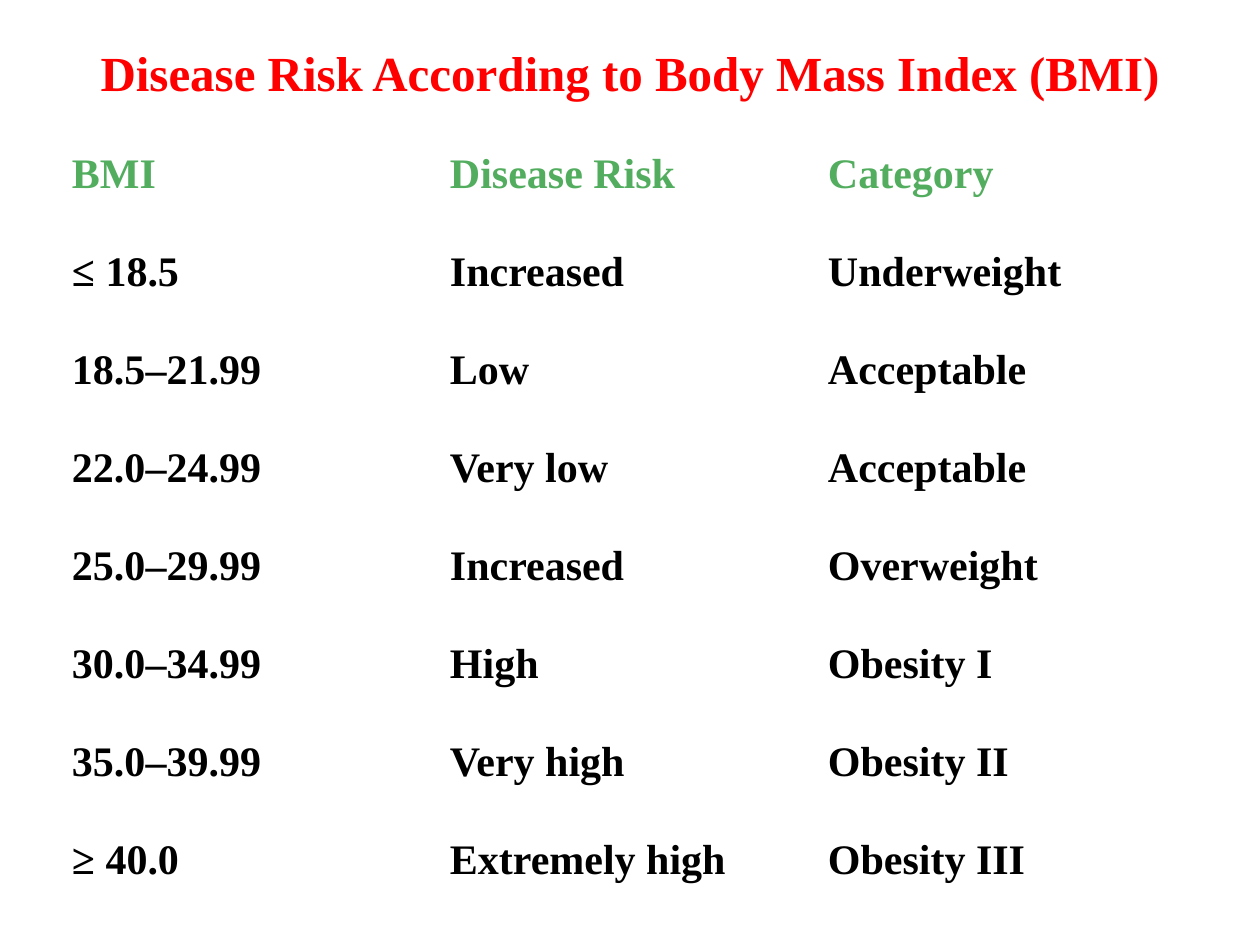
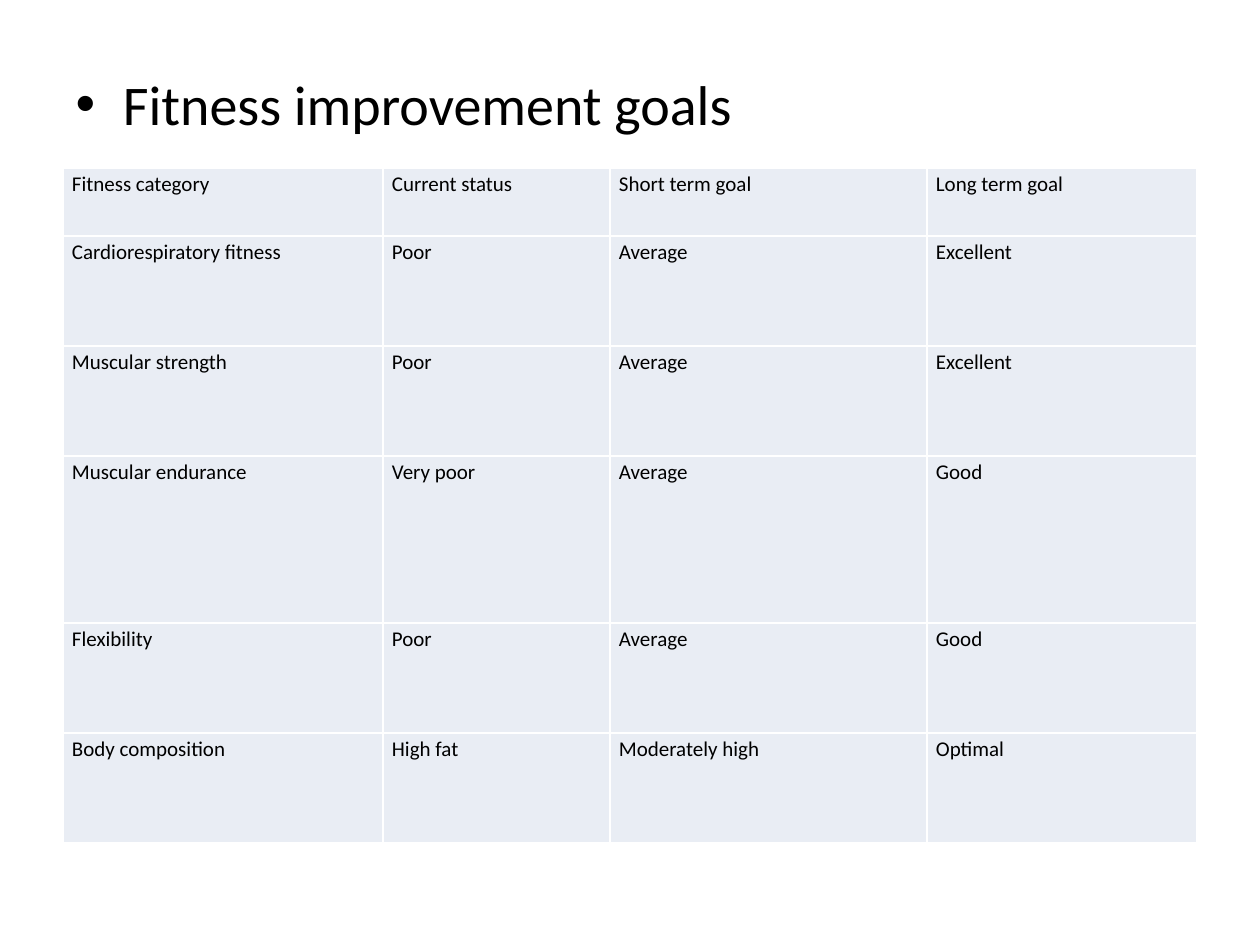
from dataclasses import dataclass

from lxml import etree
from pptx import Presentation
from pptx.dml.color import RGBColor
from pptx.enum.text import MSO_ANCHOR, MSO_AUTO_SIZE, PP_ALIGN
from pptx.oxml.ns import qn
from pptx.util import Pt

CENTER, JUSTIFY, LEFT = PP_ALIGN.CENTER, PP_ALIGN.JUSTIFY, PP_ALIGN.LEFT
TOP, MIDDLE = MSO_ANCHOR.TOP, MSO_ANCHOR.MIDDLE
NO_FIT = MSO_AUTO_SIZE.NONE
EMU_PER_PX = 914400 / 126
SLIDE_WIDTH, SLIDE_HEIGHT = 1260, 945
MARGIN = 63
CONTENT_WIDTH = SLIDE_WIDTH - 2 * MARGIN
TITLE_ONLY, TITLE_AND_BODY = 5, 1


@dataclass(frozen=True)
class Theme:
    """Colours, fonts and type sizes shared by the slides."""
    red: str = "FF0000"
    green: str = "53AD5F"
    black: str = "000000"
    white: str = "FFFFFF"
    cell: str = "E9EDF4"
    serif: str = "Times New Roman"
    sans: str = "Calibri"
    title: int = 28
    heading: int = 32
    risk: int = 24
    goal: int = 12


THEME = Theme()
TITLE_FONT = {"name": THEME.serif, "size": Pt(THEME.title), "bold": True}
HEADING_FONT = {"name": THEME.sans, "size": Pt(THEME.heading), "bold": False}
RISK_FONT = {"name": THEME.serif, "size": Pt(THEME.risk), "bold": True}
GOAL_FONT = {"name": THEME.sans, "size": Pt(THEME.goal), "bold": False}
RISK_PARA = {"alignment": JUSTIFY, "line_spacing": 2.0}
GOAL_PARA = {"alignment": LEFT, "line_spacing": 1.15}

RISK_ROWS = [
    ("BMI", "Disease Risk", "Category"),
    ("≤ 18.5", "Increased", "Underweight"),
    ("18.5–21.99", "Low", "Acceptable"),
    ("22.0–24.99", "Very low", "Acceptable"),
    ("25.0–29.99", "Increased", "Overweight"),
    ("30.0–34.99", "High", "Obesity I"),
    ("35.0–39.99", "Very high", "Obesity II"),
    ("≥ 40.0", "Extremely high", "Obesity III"),
]
GOAL_ROWS = [
    ("Fitness category", "Current status", "Short term goal", "Long term goal"),
    ("Cardiorespiratory fitness", "Poor", "Average", "Excellent"),
    ("Muscular strength", "Poor", "Average", "Excellent"),
    ("Muscular endurance", "Very poor", "Average", "Good"),
    ("Flexibility", "Poor", "Average", "Good"),
    ("Body composition", "High fat", "Moderately high", "Optimal"),
]


def px(length):
    """Turn pixels into EMU."""
    return round(length * EMU_PER_PX)


def apply(target, values):
    """Set every attribute named in a dict."""
    for name, value in values.items():
        setattr(target, name, value)


def write(para, text, font, color):
    """Add one formatted span of text to a paragraph."""
    span = para.add_run()
    span.text = text
    apply(span.font, font)
    span.font.color.rgb = RGBColor.from_string(color)


def fill_placeholder(box, place, text, font, color, align, anchor):
    """Move a placeholder and write its single paragraph."""
    apply(box, dict(zip(("left", "top", "width", "height"), map(px, place))))
    frame = box.text_frame
    apply(frame, {"word_wrap": True, "auto_size": NO_FIT,
                  "vertical_anchor": anchor})
    para = frame.paragraphs[0]
    para.alignment = align
    write(para, text, font, color)


def add_borders(cell, color):
    """Draw a one point line on each side of a cell."""
    properties = cell._tc.get_or_add_tcPr()
    for side in ("lnL", "lnR", "lnT", "lnB"):
        line = etree.SubElement(properties, qn(f"a:{side}"), w=str(Pt(1)))
        solid = etree.SubElement(line, qn("a:solidFill"))
        etree.SubElement(solid, qn("a:srgbClr"), val=color)


def fill_cell(cell, text, font, color, para_format, fill):
    """Format one table cell and write its text."""
    apply(cell, {"margin_left": px(9), "margin_right": px(9),
                 "margin_top": 0, "margin_bottom": 0, "vertical_anchor": TOP})
    if fill:
        add_borders(cell, THEME.white)
        cell.fill.solid()
        cell.fill.fore_color.rgb = RGBColor.from_string(fill)
    else:
        cell.fill.background()
    para = cell.text_frame.paragraphs[0]
    apply(para, para_format)
    write(para, text, font, color)


def add_grid(slide, top, widths, heights, rows, font, para_format,
             header_color=THEME.black, fill=None):
    """Add a table whose header row may have its own text colour."""
    table = slide.shapes.add_table(
        len(rows), len(widths), px(MARGIN), px(top),
        px(sum(widths)), px(sum(heights))).table
    apply(table, {"first_row": False, "horz_banding": False})
    for column, width in zip(table.columns, widths):
        column.width = px(width)
    for row, height in zip(table.rows, heights):
        row.height = px(height)
    for row_index, texts in enumerate(rows):
        color = THEME.black if row_index else header_color
        for column_index, text in enumerate(texts):
            fill_cell(table.cell(row_index, column_index), text, font, color,
                      para_format, fill)


def build_risk_slide(deck):
    """Build the table of disease risk by body mass index."""
    slide = deck.slides.add_slide(deck.slide_layouts[TITLE_ONLY])
    fill_placeholder(slide.shapes.title, (MARGIN, 38, CONTENT_WIDTH, 67),
                     "Disease Risk According to Body Mass Index (BMI)",
                     TITLE_FONT, THEME.red, CENTER, MIDDLE)
    add_grid(slide, 105, [CONTENT_WIDTH // 3] * 3, [98] * len(RISK_ROWS),
             RISK_ROWS, RISK_FONT, RISK_PARA, header_color=THEME.green)


def build_goal_slide(deck):
    """Build the table of fitness improvement goals."""
    slide = deck.slides.add_slide(deck.slide_layouts[TITLE_AND_BODY])
    title = slide.shapes.title.element
    title.getparent().remove(title)
    fill_placeholder(slide.placeholders[1], (MARGIN, 63, CONTENT_WIDTH, 781),
                     "Fitness improvement goals",
                     HEADING_FONT, THEME.black, LEFT, TOP)
    add_grid(slide, 168, [320, 227, 317, 270], [68, 110, 110, 167, 110, 110],
             GOAL_ROWS, GOAL_FONT, GOAL_PARA, fill=THEME.cell)


def main():
    """Build and save the deck."""
    deck = Presentation()
    apply(deck, {"slide_width": px(SLIDE_WIDTH),
                 "slide_height": px(SLIDE_HEIGHT)})
    build_risk_slide(deck)
    build_goal_slide(deck)
    deck.save("out.pptx")


if __name__ == "__main__":
    main()
